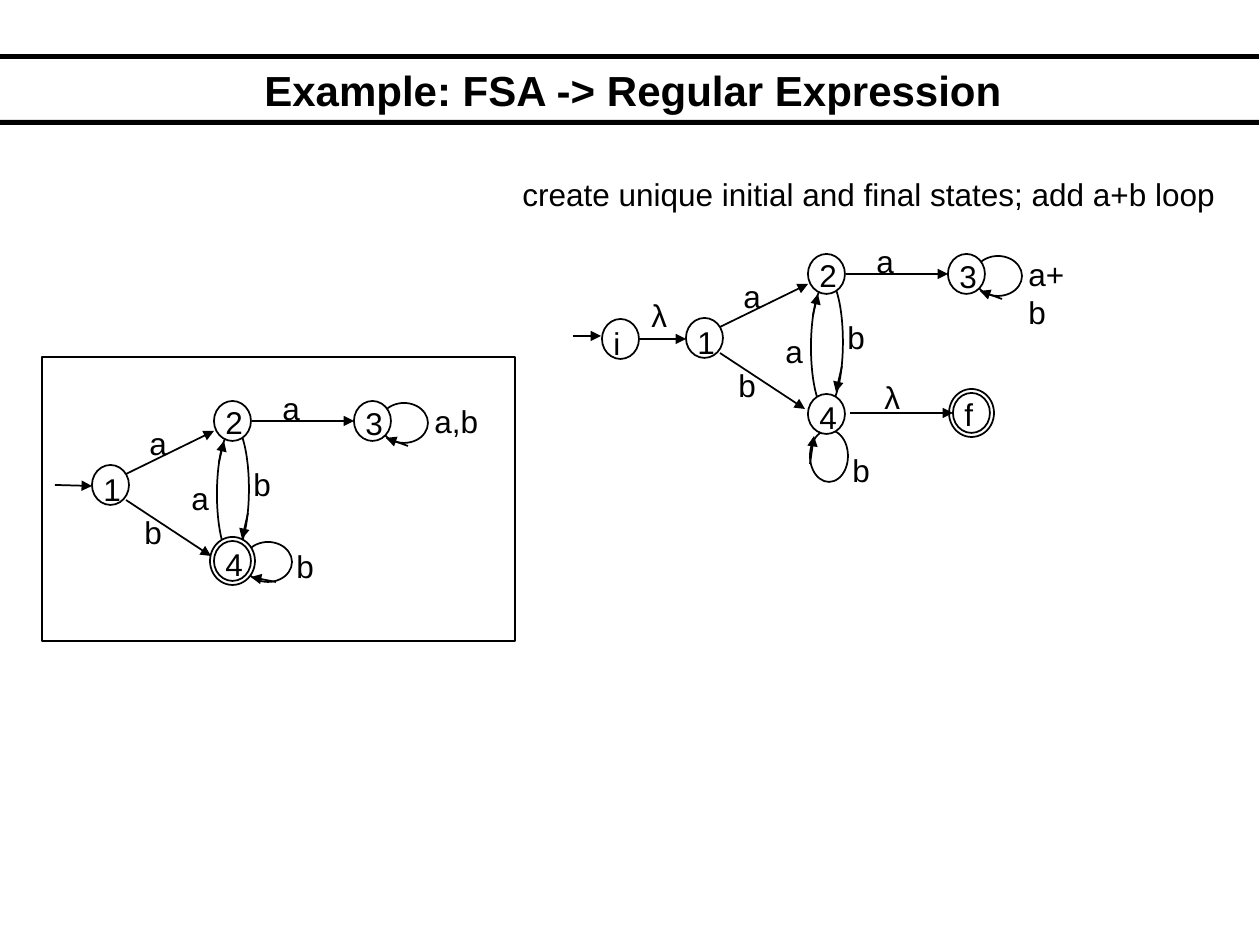
"""Build the slide that turns a finite automaton into a regular expression."""
import lxml.etree
import pptx
import pptx.dml.color
import pptx.enum.shapes
import pptx.enum.text
import pptx.oxml.ns
import pptx.util

EMU_PER_PX = 914400 / 126
BLACK, WHITE = "000000", "FFFFFF"
NODE_W, NODE_H = 37, 40
RING = 4
SHAPES = pptx.enum.shapes.MSO_SHAPE


def px(length):
    """Turn pixels into EMU."""
    return pptx.util.Emu(round(length * EMU_PER_PX))


def colour(value):
    """Turn a hex string into a colour."""
    return pptx.dml.color.RGBColor.from_string(value)


def add_outline(page, kind, x, y, width, height, fill=None, line=BLACK):
    """Add a preset shape with an optional fill and thin line."""
    shape = page.shapes.add_shape(kind, px(x), px(y), px(width), px(height))
    shape.shadow.inherit = False
    if fill:
        shape.fill.solid()
        shape.fill.fore_color.rgb = colour(fill)
    else:
        shape.fill.background()
    if line:
        shape.line.color.rgb = colour(line)
        shape.line.width = pptx.util.Pt(1)
    else:
        shape.line.fill.background()
    return shape


def add_oval(page, x, y, width=NODE_W, height=NODE_H):
    """Add a white ellipse."""
    return add_outline(page, SHAPES.OVAL, x, y, width, height, WHITE)


def add_arc(page, x, y, start, end):
    """Add half of a tall ellipse between two angles in degrees."""
    arc = add_outline(page, SHAPES.ARC, x, y, 35, 132)
    arc.adjustments[0] = start * 0.6
    arc.adjustments[1] = end * 0.6


def add_arrow(page, x1, y1, x2, y2):
    """Add a straight line with a triangle at its end."""
    arrow = page.shapes.add_connector(
        pptx.enum.shapes.MSO_CONNECTOR.STRAIGHT, px(x1), px(y1), px(x2), px(y2))
    arrow.line.color.rgb = colour(BLACK)
    arrow.line.width = pptx.util.Pt(1)
    properties = arrow.element.spPr
    line = properties.find(pptx.oxml.ns.qn("a:ln"))
    lxml.etree.SubElement(line, pptx.oxml.ns.qn("a:tailEnd"), type="triangle")
    lxml.etree.SubElement(properties, pptx.oxml.ns.qn("a:effectLst"))


def add_text(page, text, x, y, width=43, height=50, size=18, bold=False):
    """Add one unwrapped line of text and return its box."""
    box = page.shapes.add_textbox(px(x), px(y), px(width), px(height))
    box.text_frame.word_wrap = False
    box.text_frame.auto_size = pptx.enum.text.MSO_AUTO_SIZE.SHAPE_TO_FIT_TEXT
    span = box.text_frame.paragraphs[0].add_run()
    span.text = text
    span.font.name = "Arial"
    span.font.size = pptx.util.Pt(size)
    span.font.bold = bold
    span.font.color.rgb = colour(BLACK)
    return box


def add_state(page, name, x, y, rise=1, width=43, accepting=False):
    """Add a named state, ringed twice when it accepts."""
    if accepting:
        add_oval(page, x - RING, y - RING, NODE_W + 2 * RING, NODE_H + 2 * RING)
    add_oval(page, x, y)
    add_text(page, name, x - 1, y - rise, width)


def add_title(page):
    """Add the title between its two rules."""
    for y in (54, 120):
        add_outline(page, SHAPES.RECTANGLE, 0, y, 1259, 5, BLACK, None)
    title = add_text(page, "Example: FSA -> Regular Expression",
                     199, 57, 868, 66, 24, True)
    title.text_frame.word_wrap = True
    title.text_frame.auto_size = pptx.enum.text.MSO_AUTO_SIZE.NONE
    title.text_frame.vertical_anchor = pptx.enum.text.MSO_ANCHOR.MIDDLE
    title.text_frame.paragraphs[0].alignment = pptx.enum.text.PP_ALIGN.CENTER


def add_automaton(page, dx, dy, loop_label, loop_width, accepting):
    """Add the four states and the moves common to both diagrams."""
    add_arc(page, 217 + dx, 428 + dy, 90, 270)
    add_arc(page, 214 + dx, 423 + dy, 270, 90)
    add_oval(page, 380 + dx, 403 + dy, 48)
    for name, x, y, rise in (("1", 92, 465, 1), ("2", 214, 401, 4), ("3", 354, 401, 3)):
        add_state(page, name, x + dx, y + dy, rise)
    add_state(page, "4", 214 + dx, 541 + dy, 2, accepting=accepting)
    for x1, y1, x2, y2 in (
            (126, 474, 214, 431), (126, 500, 211, 556), (252, 421, 354, 421),
            (219, 462, 224, 441), (248, 513, 242, 539), (408, 446, 386, 438)):
        add_arrow(page, x1 + dx, y1 + dy, x2 + dx, y2 + dy)
    for symbol, x, y in (("a", 137, 418), ("b", 132, 507), ("b", 241, 459),
                         ("a", 179, 473), ("a", 270, 383)):
        add_text(page, symbol, x + dx, y + dy)
    add_text(page, loop_label, 422 + dx, 396 + dy, loop_width)


def add_given_automaton(page):
    """Add the framed starting automaton."""
    add_oval(page, 244, 542, 48)
    add_automaton(page, 0, 0, "a,b", 69, True)
    add_arrow(page, 55, 485, 92, 486)
    add_arrow(page, 276, 582, 251, 577)
    add_text(page, "b", 284, 541)
    add_outline(page, SHAPES.RECTANGLE, 42, 357, 473, 284)


def add_extended_automaton(page):
    """Add the automaton with unique initial and final states."""
    add_text(page, "create unique initial and final states; add a+b loop",
             510, 169, 718)
    add_oval(page, 810, 430, 38, 52)
    add_arrow(page, 810, 464, 814, 436)
    add_automaton(page, 594, -147, "a+b", 78, False)
    add_state(page, "i", 602, 319, 1, 32)
    add_state(page, "f", 953, 393, 4, 34, True)
    add_arrow(page, 573, 336, 601, 336)
    add_arrow(page, 639, 339, 686, 339)
    add_arrow(page, 850, 413, 953, 413)
    add_text(page, "b", 840, 445)
    add_text(page, "λ", 639, 290)
    add_text(page, "λ", 872, 372)


def main():
    """Build and save the deck."""
    deck = pptx.Presentation()
    deck.slide_width, deck.slide_height = px(1260), px(945)
    page = deck.slides.add_slide(deck.slide_layouts[6])
    add_title(page)
    add_given_automaton(page)
    add_extended_automaton(page)
    deck.save("out.pptx")


if __name__ == "__main__":
    main()
